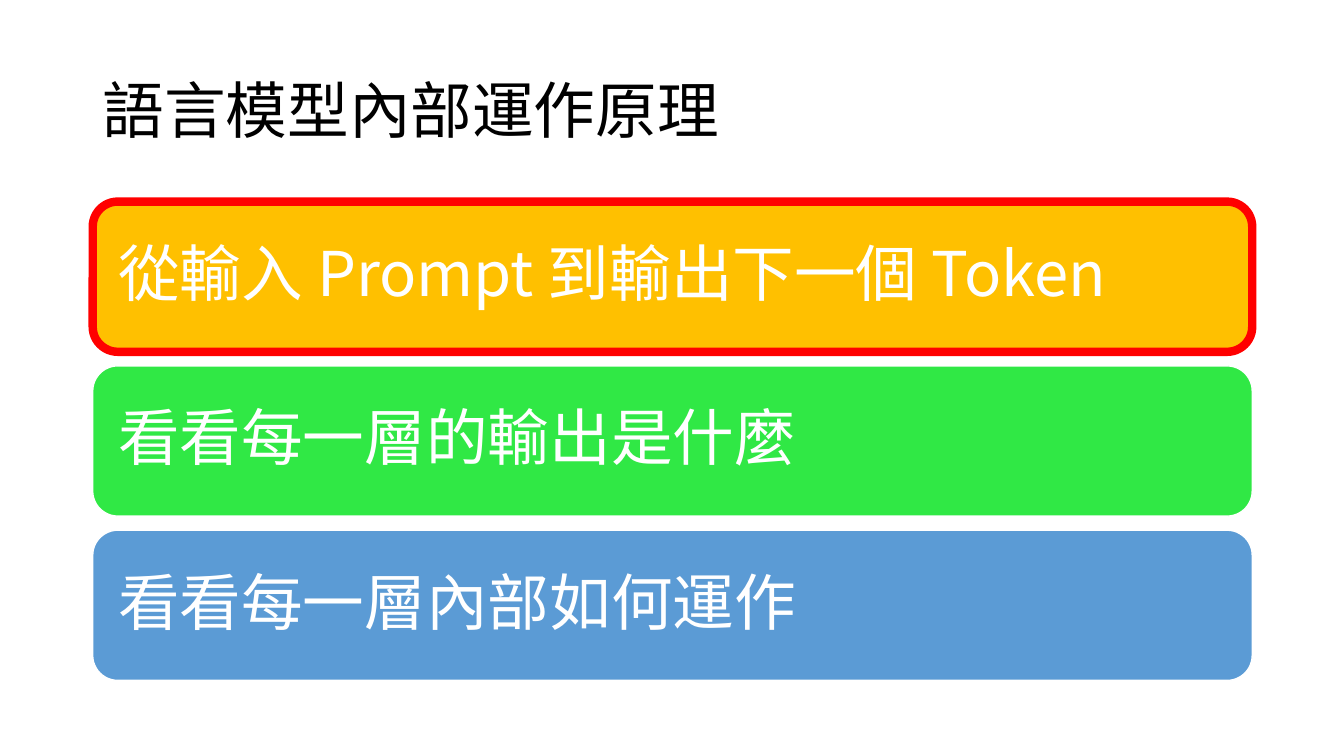
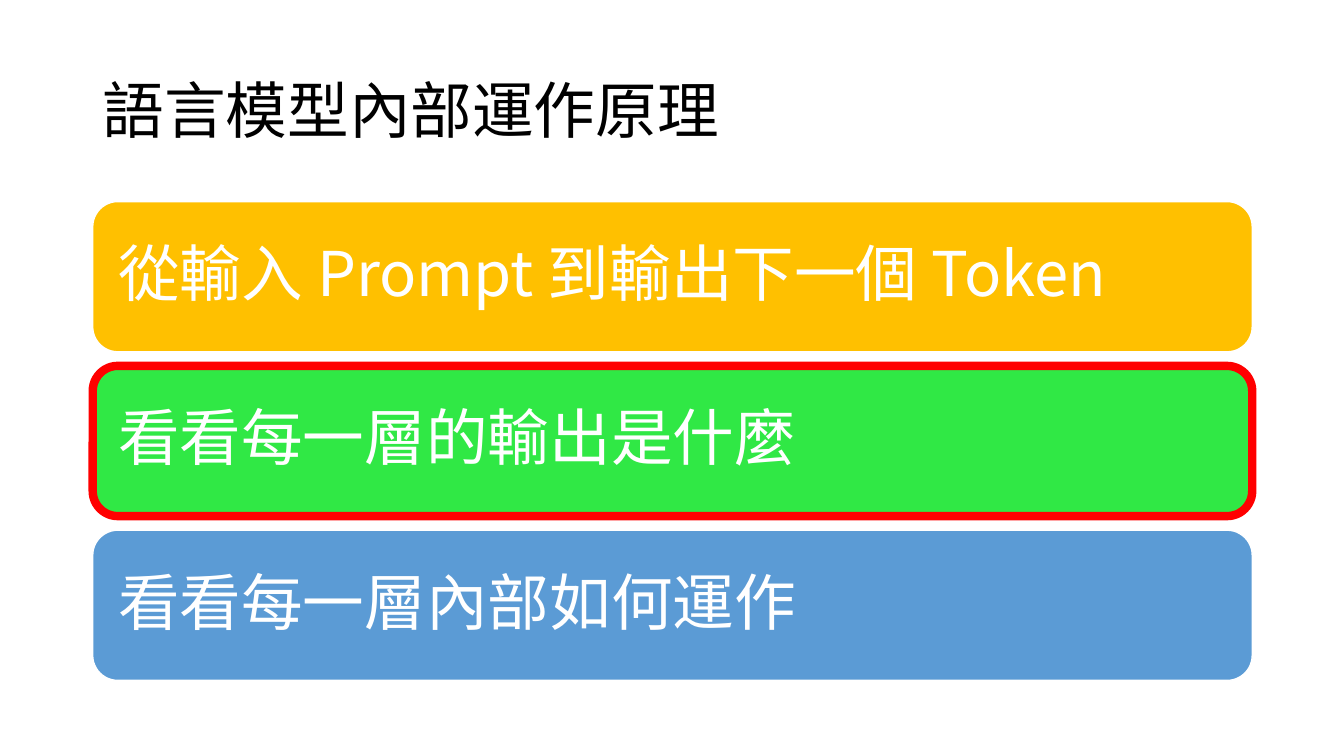
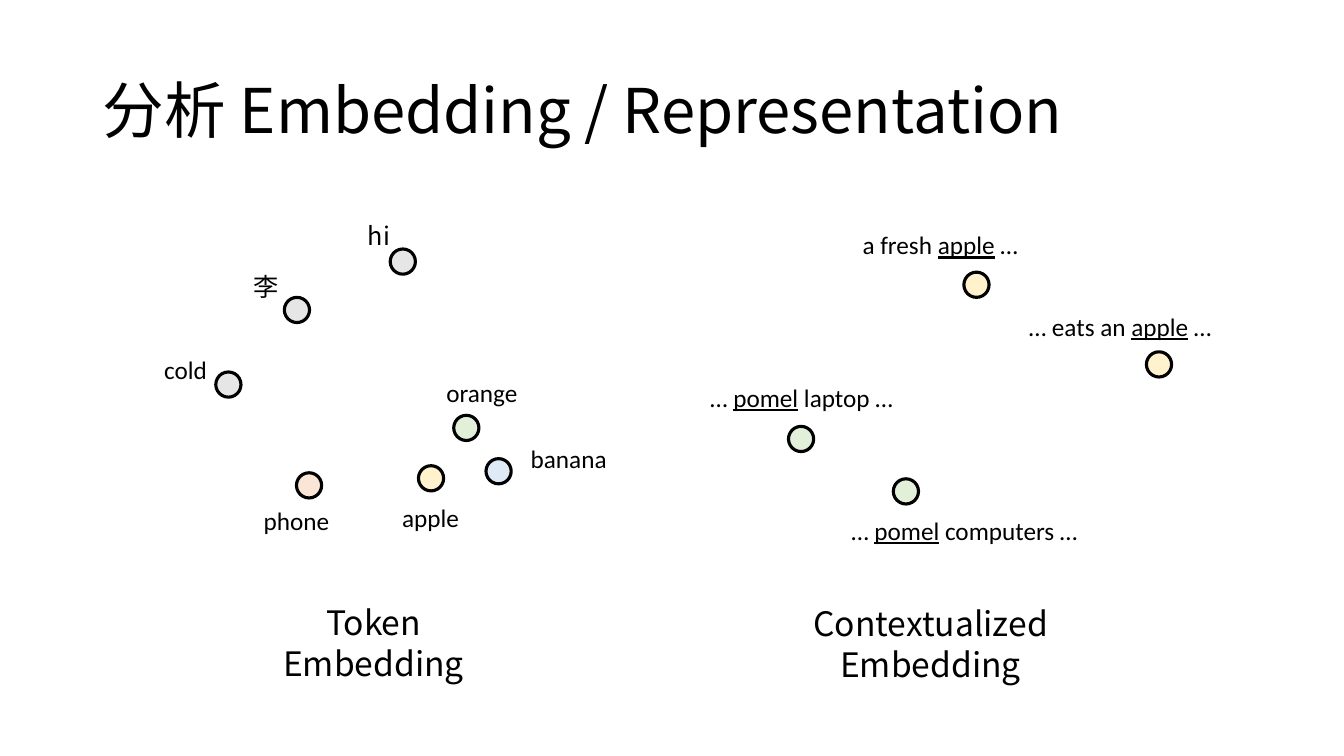
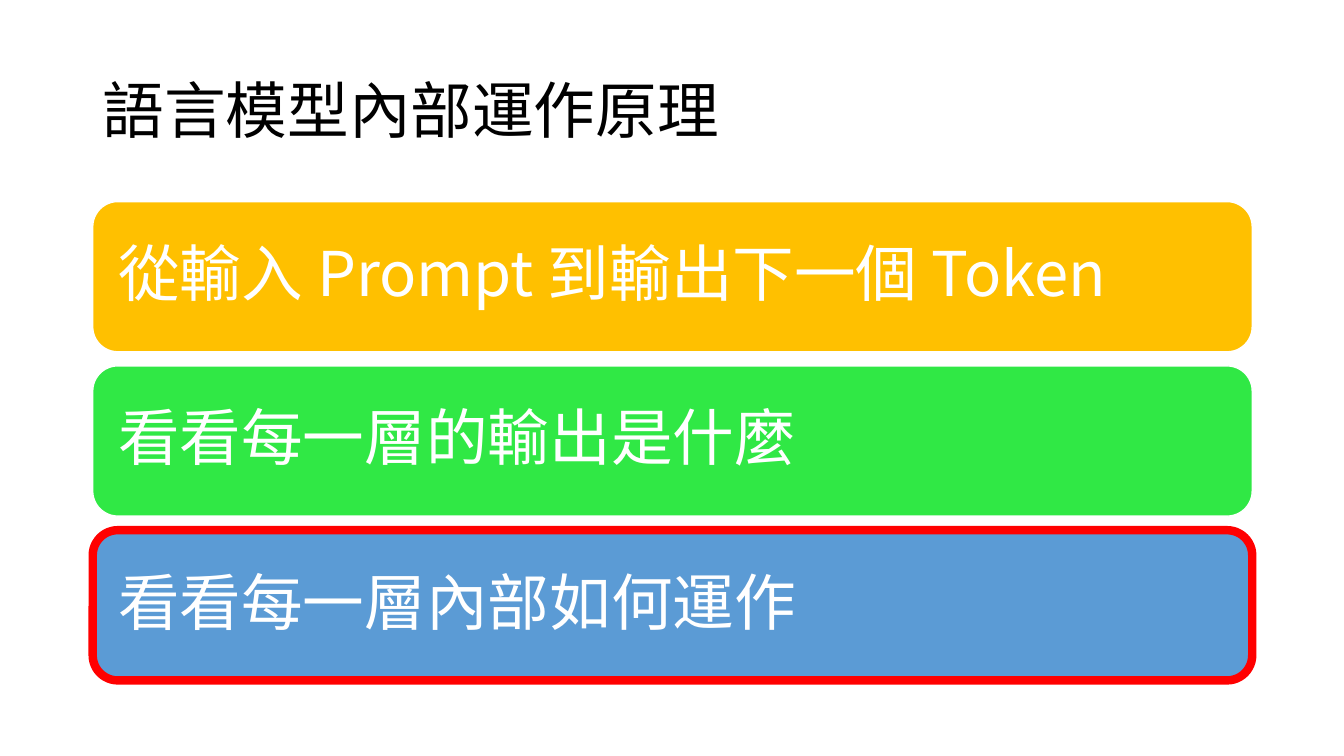
from lxml import etree
from pptx import Presentation
from pptx.dml.color import RGBColor
from pptx.enum.shapes import MSO_SHAPE
from pptx.enum.text import MSO_ANCHOR, PP_ALIGN
from pptx.oxml.ns import qn
from pptx.util import Inches, Pt

ROUND, OVAL = MSO_SHAPE.ROUNDED_RECTANGLE, MSO_SHAPE.OVAL
TOP, MIDDLE = MSO_ANCHOR.TOP, MSO_ANCHOR.MIDDLE
LEFT, CENTER = PP_ALIGN.LEFT, PP_ALIGN.CENTER

SANS, CJK = "Calibri", "Noto Sans CJK SC"
BLACK, WHITE, RED = "000000", "FFFFFF", "FF0000"
GREY, CREAM, MINT, SKY, PEACH = "E7E6E6", "FFF2CC", "E2F0D9", "DEEBF7", "FBE5D6"

TITLE = (0.92, 0.4, 11.5, 1.45)
AGENDA = (0.92, 2, 11.5, 4.75)
BAR_H = 1.49
HEAD = "語言模型內部運作原理"
TOPICS = [
    ("從輸入 Prompt 到輸出下一個 Token", "FFC000"),
    ("看看每一層的輸出是什麼", "30E845"),
    ("看看每一層內部如何運作", "5B9BD5"),
]

# Plots: dots are (x, y, fill); labels are (x, y, width, text, font), from the plot corner
TOKEN = {
    "box": (1.27, 2.13),
    "dots": [
        (2.88, 2.49, CREAM), (3.55, 2.42, SKY), (3.23, 1.99, MINT),
        (1.67, 2.56, PEACH), (1.55, 0.82, GREY), (2.6, 0.34, GREY),
        (0.87, 1.56, GREY),
    ],
    "labels": [
        (2.43, 2.8, 1.14, "apple", SANS), (2.94, 1.56, 1.14, "orange", SANS),
        (3.8, 2.22, 1.14, "banana", SANS), (1.1, 2.83, 1.14, "phone", SANS),
        (0, 1.34, 1.14, "cold", SANS), (0.8, 0.51, 1.14, "李", CJK),
        (1.92, 0, 1.14, "hi", CJK),
    ],
    "caption": (1.27, 3.79, 2.33, "Token Embedding"),
}
CONTEXT = {
    "box": (6.67, 2.23),
    "dots": [
        (2.19, 2.52, MINT), (1.15, 2, MINT),
        (2.89, 0.47, CREAM), (4.7, 1.26, CREAM),
    ],
    "labels": [
        (0, 1.51, 2.56, "… _pomel_ laptop …", SANS),
        (1.54, 2.83, 2.71, "… _pomel_ computers …", SANS),
        (1.64, 0, 2.03, "a fresh _apple_ …", SANS),
        (3.31, 0.81, 2.26, "… eats an _apple_ …", SANS),
    ],
    "caption": (0.63, 3.7, 3.86, "Contextualized Embedding"),
}


def rgb(code):
    return RGBColor.from_string(code)


def write(shape, text, size, font=CJK, color=BLACK, align=LEFT,
          anchor=MIDDLE, space=0.9, inset=None):
    """Fill a shape with one paragraph; _word_ is underlined."""
    frame = shape.text_frame
    look = {"word_wrap": True, "vertical_anchor": anchor}
    if inset:
        for side in ("left", "right", "top", "bottom"):
            look["margin_" + side] = Inches(inset)
    for key, val in look.items():
        setattr(frame, key, val)
    para = frame.paragraphs[0]
    para.alignment, para.line_spacing = align, space
    for num, part in enumerate(text.split("_")):
        run = para.add_run()
        run.text = part
        style = {"name": font, "size": Pt(size), "underline": num % 2 == 1}
        for key, val in style.items():
            setattr(run.font, key, val)
        run.font.color.rgb = rgb(color)
        east = etree.SubElement(run.font._element, qn("a:ea"))
        east.set("typeface", font)


def add_text(slide, box, text, size, **style):
    shape = slide.shapes.add_textbox(*map(Inches, box))
    write(shape, text, size, **style)


def add_form(slide, kind, box, fill, line, width):
    shape = slide.shapes.add_shape(kind, *map(Inches, box))
    shape.shadow.inherit = False
    if fill:
        shape.fill.solid()
        shape.fill.fore_color.rgb = rgb(fill)
    else:
        shape.fill.background()
    shape.line.color.rgb = rgb(line)
    shape.line.width = Pt(width)
    return shape


def new_slide(deck, title):
    slide = deck.slides.add_slide(deck.slide_layouts[6])
    add_text(slide, TITLE, title, 44)
    return slide


def agenda(slide, box, mark):
    """Stack the topic bars in the box and frame the one at mark."""
    left, top, width, height = box
    step = (height - BAR_H) / (len(TOPICS) - 1)
    spots = [(left, top + num * step, width, BAR_H) for num in range(len(TOPICS))]
    for spot, (text, fill) in zip(spots, TOPICS):
        bar = add_form(slide, ROUND, spot, fill, WHITE, 1)
        write(bar, text, 44, color=WHITE, inset=0.18)
    # Red frame on the current topic
    add_form(slide, ROUND, spots[mark], None, RED, 6)


def plot(slide, box, dots, labels, caption):
    """Draw dots, their labels and a caption from the corner of the plot."""
    left, top = box
    for x, y, fill in dots:
        add_form(slide, OVAL, (left + x, top + y, 0.25, 0.25), fill, BLACK, 2.25)
    for x, y, width, text, font in labels:
        space = Pt(22) if font == CJK else 1.0
        add_text(slide, (left + x, top + y, width, 0.4), text, 18, font=font,
                 align=CENTER, anchor=TOP, space=space)
    x, y, width, text = caption
    add_text(slide, (left + x, top + y, width, 0.91), text, 24,
             align=CENTER, anchor=TOP, space=Pt(29))


def main():
    deck = Presentation()
    deck.slide_width, deck.slide_height = Inches(13.33), Inches(7.5)
    for mark in (0, 1):
        agenda(new_slide(deck, HEAD), AGENDA, mark)
    slide = new_slide(deck, "分析 Embedding / Representation")
    for part in (TOKEN, CONTEXT):
        plot(slide, **part)
    agenda(new_slide(deck, HEAD), AGENDA, 2)
    deck.save("out.pptx")


if __name__ == "__main__":
    main()
